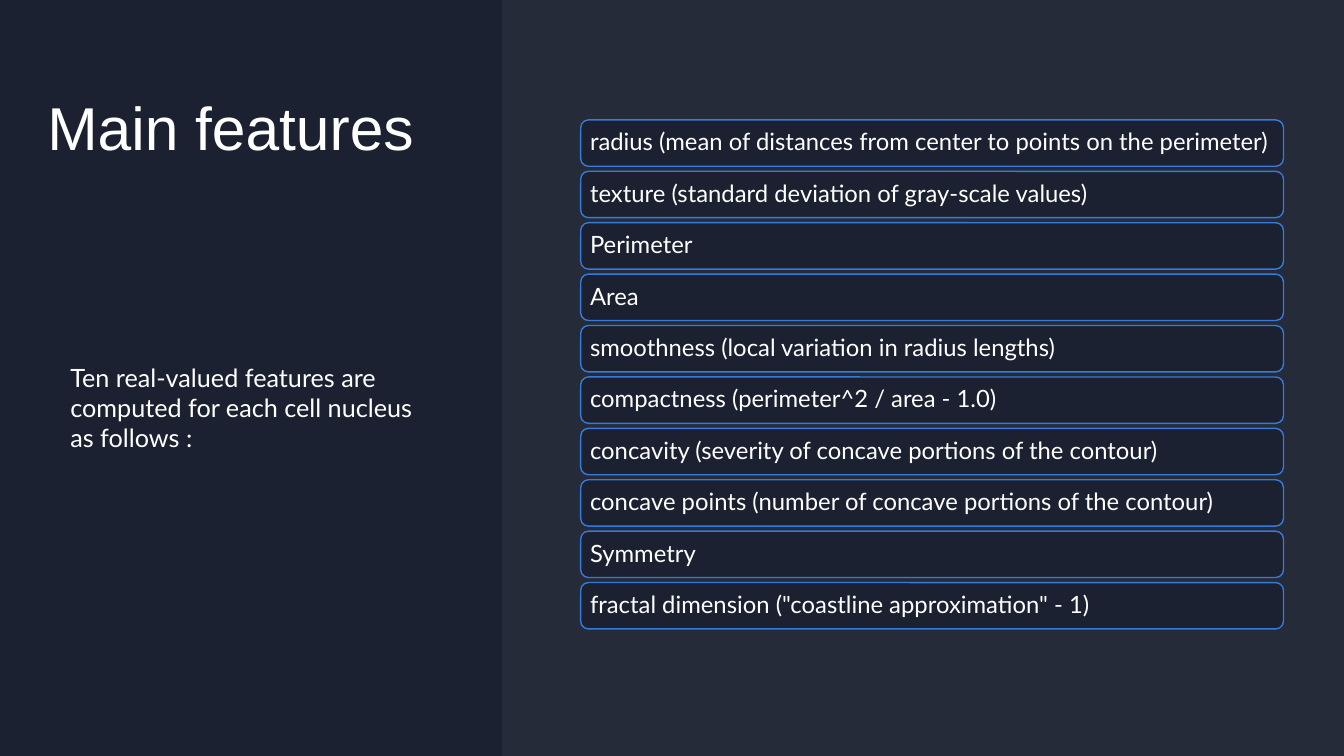
from lxml import etree
from pptx import Presentation
from pptx.dml.color import RGBColor
from pptx.enum import shapes, text
from pptx.oxml.ns import qn
from pptx.util import Inches, Pt

NAVY, WHITE, BLUE, MIST = "1B2130", "FFFFFF", "377AD9", "E3E7EF"
FEATURES = [
    "radius (mean of distances from center to points on the perimeter)",
    "texture (standard deviation of gray-scale values)",
    "Perimeter",
    "Area",
    "smoothness (local variation in radius lengths)",
    "compactness (perimeter^2 / area - 1.0)",
    "concavity (severity of concave portions of the contour)",
    "concave points (number of concave portions of the contour)",
    "Symmetry",
    'fractal dimension ("coastline approximation" - 1)',
]


def paint(color_owner, color):
    if hasattr(color_owner, "solid"):
        color_owner.solid()
        color_owner = color_owner.fore_color
    else:
        color_owner = color_owner.color
    color_owner.rgb = RGBColor.from_string(color)


def write(shape, words, font_name, size, anchor, margin_x, margin_y):
    frame = shape.text_frame
    frame.word_wrap = True
    frame.vertical_anchor = anchor
    frame.margin_left = frame.margin_right = Inches(margin_x)
    frame.margin_top = frame.margin_bottom = Inches(margin_y)
    paragraph = frame.paragraphs[0]
    paragraph.alignment = text.PP_ALIGN.LEFT
    run = paragraph.add_run()
    run.text = words
    run.font.name = font_name
    run.font.size = Pt(size)
    paint(run.font, WHITE)
    return paragraph


presentation = Presentation()
presentation.slide_width = Inches(13.33)
presentation.slide_height = Inches(7.5)
slide = presentation.slides.add_slide(presentation.slide_layouts[6])
paint(slide.background.fill, NAVY)

title = slide.shapes.add_textbox(Inches(0.47), Inches(0.41), Inches(4.03), Inches(1.68))
write(title, "Main features", "Arial", 43.2, text.MSO_ANCHOR.MIDDLE, 0, 0)

panel = slide.shapes.add_shape(
    shapes.MSO_SHAPE.RECTANGLE, Inches(4.98), 0, Inches(8.35), Inches(7.5))
panel.shadow.inherit = False
paint(panel.fill, MIST)
panel.line.fill.background()
panel_color = panel.fill._xPr.find(qn("a:solidFill"))[0]
etree.SubElement(panel_color, qn("a:alpha"), val="5000")

for index, feature in enumerate(FEATURES):
    card = slide.shapes.add_shape(
        shapes.MSO_SHAPE.ROUNDED_RECTANGLE,
        Inches(5.76), Inches(1.19 + 0.51 * index), Inches(6.97), Inches(0.46))
    card.shadow.inherit = False
    paint(card.fill, NAVY)
    paint(card.line, BLUE)
    card.line.width = Pt(1)
    paragraph = write(card, feature, "Lato", 17, text.MSO_ANCHOR.MIDDLE, 0.07, 0.07)
    paragraph.line_spacing = 0.9

intro = slide.shapes.add_textbox(Inches(0.6), Inches(3.54), Inches(3.77), Inches(1.01))
write(intro, "Ten real-valued features are computed for each cell nucleus as follows :",
      "Lato", 18, text.MSO_ANCHOR.TOP, 0.1, 0.05)

presentation.save("out.pptx")
